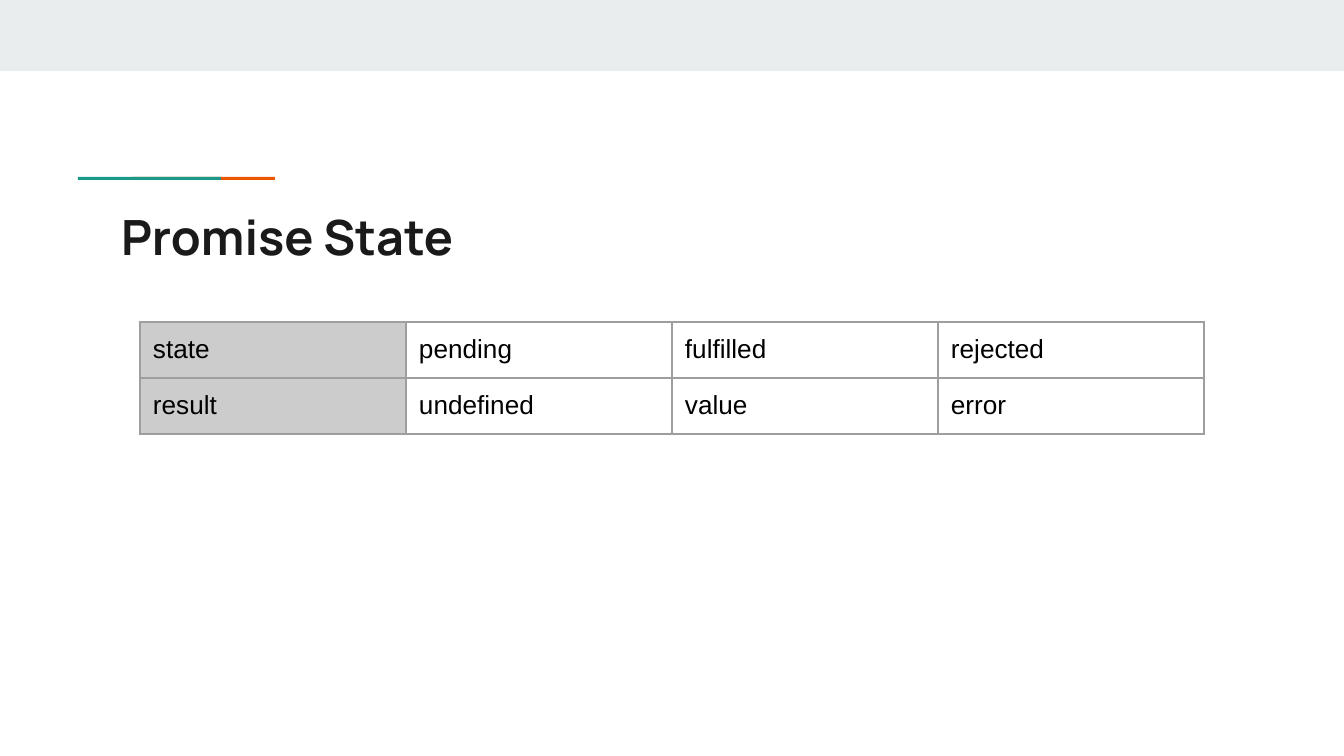
import pptx
import pptx.dml.color
import pptx.enum.shapes
import pptx.enum.text
import pptx.oxml
import pptx.oxml.ns
import pptx.util

EMU_PER_PX = 914400 / 134.4
SLIDE_WIDTH, SLIDE_HEIGHT = 1344, 756
INSET = 13
STATES = [
    ["state", "pending", "fulfilled", "rejected"],
    ["result", "undefined", "value", "error"],
]


def px(length):
    return pptx.util.Emu(round(length * EMU_PER_PX))


def color(hex_string):
    return pptx.dml.color.RGBColor.from_string(hex_string)


class SlideBuilder:
    title_font, body_font = "Manrope", "Arial"
    title_size, body_size = 26, 14
    title_color, body_color = "1A1A1A", "000000"
    header_fill, border_color, border_width = "CCCCCC", "9E9E9E", 0.75

    def __init__(self, slide):
        self.slide = slide

    def format_text(self, text_frame, font_name, size, hex_string, bold=False):
        for paragraph in text_frame.paragraphs:
            paragraph.alignment = pptx.enum.text.PP_ALIGN.LEFT
            for run in paragraph.runs:
                run.font.name = font_name
                run.font.size = pptx.util.Pt(size)
                run.font.bold = bold
                run.font.color.rgb = color(hex_string)

    def set_insets(self, target):
        target.margin_left = target.margin_right = px(INSET)
        target.margin_top = target.margin_bottom = px(INSET)
        target.vertical_anchor = pptx.enum.text.MSO_ANCHOR.TOP

    def add_bar(self, left, top, width, height, fill):
        shape = self.slide.shapes.add_shape(
            pptx.enum.shapes.MSO_SHAPE.RECTANGLE,
            px(left), px(top), px(width), px(height))
        shape.shadow.inherit = False
        shape.fill.solid()
        shape.fill.fore_color.rgb = color(fill)
        shape.line.fill.background()

    def add_title(self, text, left, top, width, height):
        title = self.slide.shapes.title
        title.left, title.top = px(left), px(top)
        title.width, title.height = px(width), px(height)
        text_frame = title.text_frame
        text_frame.text = text
        text_frame.word_wrap = True
        text_frame.auto_size = pptx.enum.text.MSO_AUTO_SIZE.NONE
        self.set_insets(text_frame)
        self.format_text(text_frame, self.title_font, self.title_size,
                         self.title_color, bold=True)

    def add_borders(self, cell):
        """Outline all four sides; borders must precede the fill in the XML."""
        properties = cell._tc.get_or_add_tcPr()
        width = pptx.util.Pt(self.border_width)
        for index, side in enumerate(("lnL", "lnR", "lnT", "lnB")):
            border = pptx.oxml.parse_xml(
                f'<a:{side} {pptx.oxml.ns.nsdecls("a")} w="{width}"><a:solidFill>'
                f'<a:srgbClr val="{self.border_color}"/></a:solidFill></a:{side}>')
            properties.insert(index, border)

    def add_table(self, rows, left, top, column_width, row_height):
        """Build a bordered table whose first column is the header."""
        columns = len(rows[0])
        table = self.slide.shapes.add_table(
            len(rows), columns, px(left), px(top),
            px(column_width * columns), px(row_height * len(rows))).table
        table.first_row = table.horz_banding = False
        for column in table.columns:
            column.width = px(column_width)
        for row, texts in zip(table.rows, rows):
            row.height = px(row_height)
            for index, (cell, text) in enumerate(zip(row.cells, texts)):
                cell.text_frame.text = text
                self.set_insets(cell)
                self.format_text(cell.text_frame, self.body_font,
                                 self.body_size, self.body_color)
                if index == 0:
                    cell.fill.solid()
                    cell.fill.fore_color.rgb = color(self.header_fill)
                else:
                    cell.fill.background()
                self.add_borders(cell)


def main():
    presentation = pptx.Presentation()
    presentation.slide_width = px(SLIDE_WIDTH)
    presentation.slide_height = px(SLIDE_HEIGHT)
    title_only = presentation.slide_layouts[5]
    builder = SlideBuilder(presentation.slides.add_slide(title_only))

    builder.add_bar(0, 0, SLIDE_WIDTH, 71, "E9EDEE")
    builder.add_bar(133, 177, 142, 3, "EB5600")
    builder.add_bar(78, 177, 143, 3, "1A9988")
    builder.add_title("Promise State", 108, 194, 1130, 79)
    builder.add_table(STATES, 140, 322, 266, 56)
    presentation.save("out.pptx")


if __name__ == "__main__":
    main()
